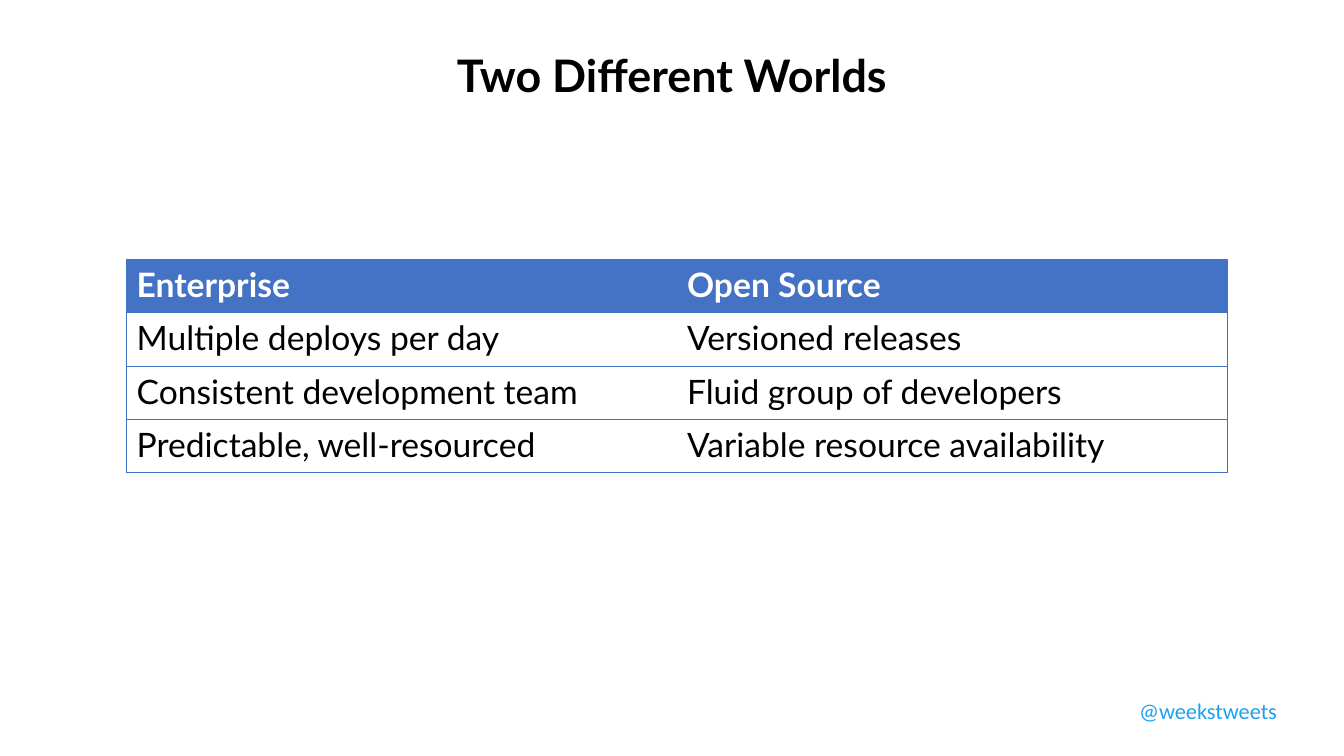
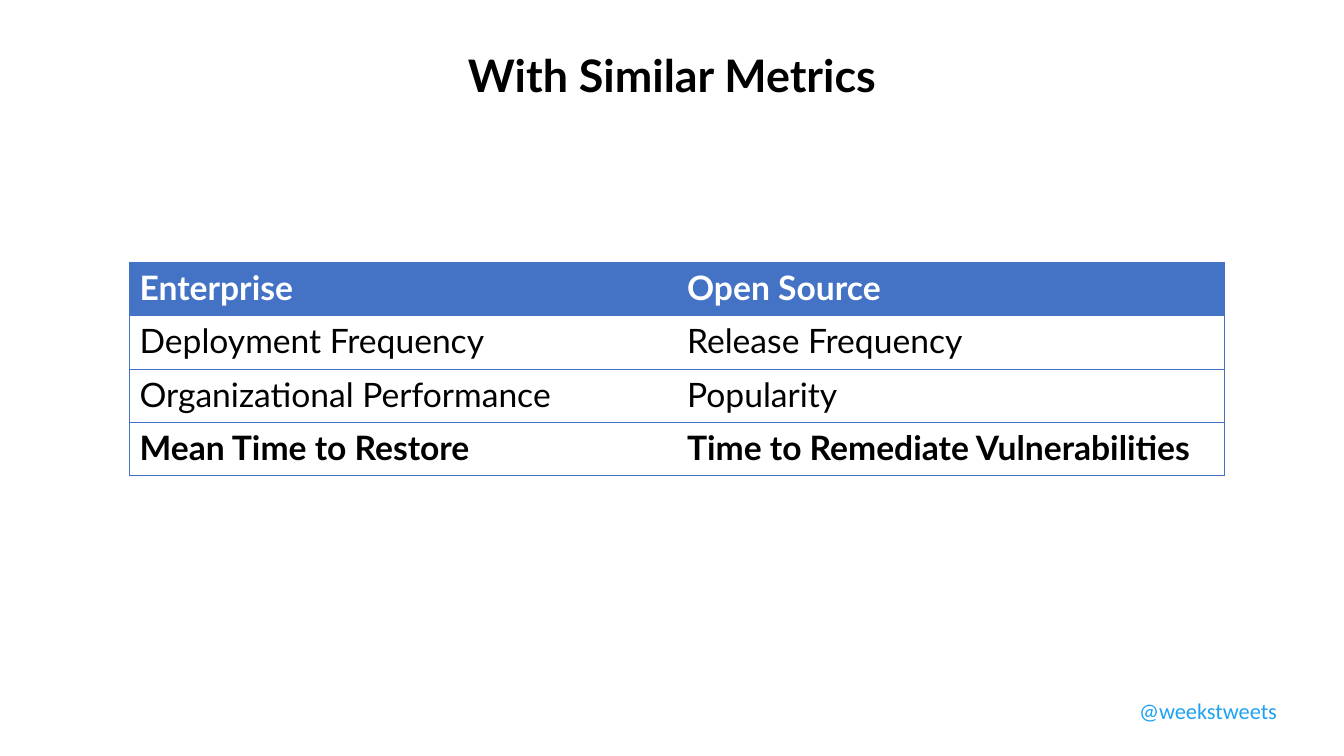
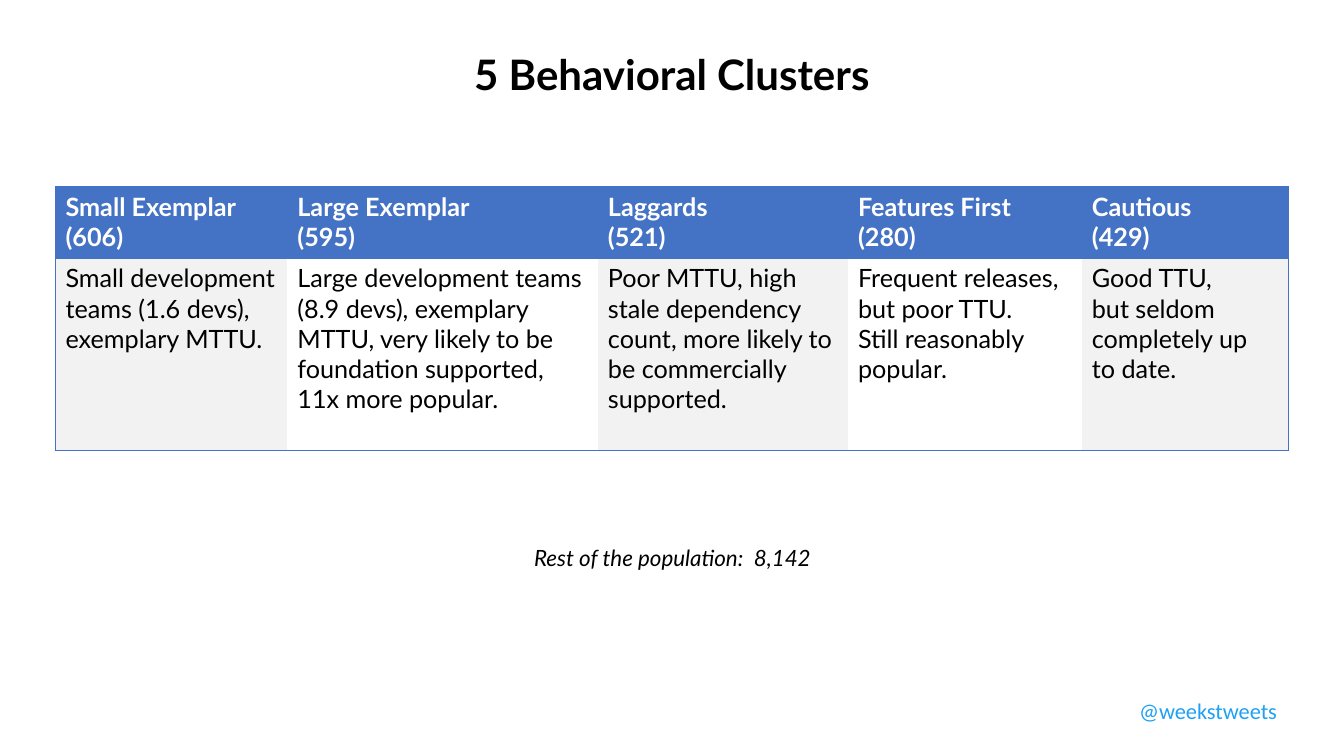
import dataclasses

import pptx
import pptx.dml.color
import pptx.enum.text
import pptx.oxml
import pptx.oxml.ns
import pptx.util

Inches = pptx.util.Inches
Pt = pptx.util.Pt
ALIGN = pptx.enum.text.PP_ALIGN
NO_GRID_STYLE = "{2D5ABB26-0587-4C30-8999-92F81FD0307C}"


@dataclasses.dataclass(frozen=True)
class Theme:
    width: float = 13.33
    height: float = 7.5
    font: str = "Lato"
    footer_font: str = "Calibri"
    ink: str = "000000"
    paper: str = "FFFFFF"
    accent: str = "4472C4"
    shade: str = "F2F2F2"
    handle: str = "1EA1F2"
    title_size: int = 32
    long_title_size: int = 30
    table_size: int = 24
    cluster_size: int = 18
    small_size: int = 16
    rule: float = 0.5


T = Theme()


def rgb(value):
    return pptx.dml.color.RGBColor.from_string(value)


def write(tf, text, size=T.small_size, color=T.ink, font=T.font,
          bold=False, italic=False, align=ALIGN.LEFT):
    for i, line in enumerate(text.split("\n")):
        p = tf.paragraphs[0] if i == 0 else tf.add_paragraph()
        p.text = line
        p.alignment = align
        for r in p.runs:
            r.font.size = Pt(size)
            r.font.name = font
            r.font.bold = bold
            r.font.italic = italic
            r.font.color.rgb = rgb(color)


def add_text(s, text, left, top, width, height, wrap=True, **style):
    sp = s.shapes.add_textbox(Inches(left), Inches(top), Inches(width), Inches(height))
    tf = sp.text_frame
    tf.word_wrap = wrap
    tf.auto_size = pptx.enum.text.MSO_AUTO_SIZE.SHAPE_TO_FIT_TEXT
    write(tf, text, **style)


def add_border(cell, side):
    ns = pptx.oxml.ns.nsdecls("a")
    cell._tc.get_or_add_tcPr().append(pptx.oxml.parse_xml(
        f'<a:ln{side} {ns} w="{Pt(T.rule)}"><a:solidFill>'
        f'<a:srgbClr val="{T.accent}"/></a:solidFill></a:ln{side}>'))


def add_table(s, rows, left, top, widths, heights, size, bold_rows=(0,), striped=False):
    frame = s.shapes.add_table(len(rows), len(widths), Inches(left), Inches(top),
                               Inches(sum(widths)), Inches(sum(heights)))
    table = frame.table
    table._tbl.tblPr.find(pptx.oxml.ns.qn("a:tableStyleId")).text = NO_GRID_STYLE
    for column, width in zip(table.columns, widths):
        column.width = Inches(width)
    for row, height in zip(table.rows, heights):
        row.height = Inches(height)
    for i, row in enumerate(rows):
        for j, text in enumerate(row):
            cell = table.cell(i, j)
            if j == 0:
                add_border(cell, "L")
            if j == len(row) - 1:
                add_border(cell, "R")
            add_border(cell, "T")
            add_border(cell, "B")
            if i == 0:
                fill = T.accent
            else:
                fill = T.shade if striped and j % 2 == 0 else T.paper
            cell.fill.solid()
            cell.fill.fore_color.rgb = rgb(fill)
            write(cell.text_frame, text, size=size, bold=i in bold_rows,
                  color=T.paper if i == 0 else T.ink)


def add_slide(prs, title, top=0.42, height=0.64, size=T.title_size):
    s = prs.slides.add_slide(prs.slide_layouts[6])
    add_text(s, title, 0, top, T.width, height, size=size, bold=True, align=ALIGN.CENTER)
    add_text(s, "@weekstweets", 11.2, 6.87, 1.74, 0.37,
             color=T.handle, font=T.footer_font)
    return s


def add_comparison(prs, title, pairs, top, column, bold_rows=(0,)):
    s = add_slide(prs, title)
    rows = [("Enterprise", "Open Source"), *pairs]
    add_table(s, rows, T.width / 2 - column + 0.05, top, [column] * 2, [0.53] * len(rows),
              T.table_size, bold_rows)


def add_clusters(prs):
    s = add_slide(prs, "5 Behavioral Clusters", 0.43, 0.61, T.long_title_size)
    clusters = [
        ("Small Exemplar\n(606)", 2.3,
         "Small development teams (1.6 devs), exemplary MTTU."),
        ("Large Exemplar\n(595)", 3.08,
         "Large development teams (8.9 devs), exemplary MTTU, very likely to be "
         "foundation supported, \v11x more popular."),
        ("Laggards\n(521)", 2.48,
         "Poor MTTU, high stale dependency count, more likely to be commercially supported."),
        ("Features First\n(280)", 2.32,
         "Frequent releases, but poor TTU.\nStill reasonably popular."),
        ("Cautious\n(429)", 2.05,
         "Good TTU, \vbut seldom completely up \vto date."),
    ]
    names, widths, traits = zip(*clusters)
    add_table(s, [names, traits], 0.55, 1.85, widths, [0.71, 1.91],
              T.cluster_size, striped=True)
    add_text(s, "Rest of the population:  8,142", 5.14, 5.35, 3.06, 0.37,
             wrap=False, italic=True, align=ALIGN.CENTER)


def main():
    prs = pptx.Presentation()
    prs.slide_width = Inches(T.width)
    prs.slide_height = Inches(T.height)
    add_comparison(prs, "Two Different Worlds", [
        ("Multiple deploys per day", "Versioned releases"),
        ("Consistent development team", "Fluid group of developers"),
        ("Predictable, well-resourced", "Variable resource availability"),
    ], top=2.57, column=5.46)
    add_comparison(prs, "With Similar Metrics", [
        ("Deployment Frequency", "Release Frequency"),
        ("Organizational Performance", "Popularity"),
        ("Mean Time to Restore", "Time to Remediate Vulnerabilities"),
    ], top=2.6, column=5.43, bold_rows=(0, 3))
    add_clusters(prs)
    prs.save("out.pptx")


if __name__ == "__main__":
    main()
